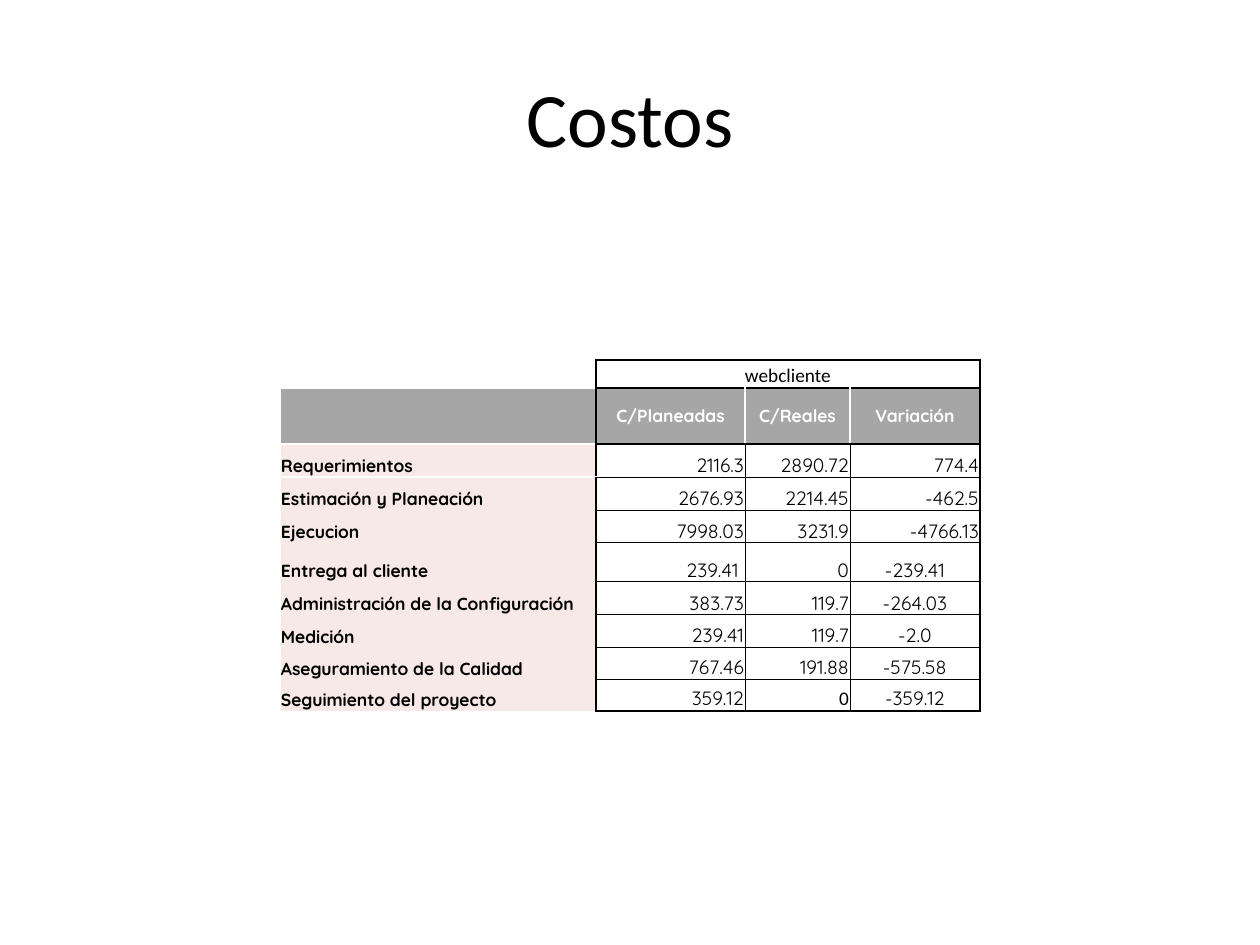
import pptx
import pptx.util
import pptx.dml.color
import pptx.enum.text
import pptx.oxml.ns
import lxml.etree

PIXEL = 914400 // 126
COLORS = {"black": "000000", "white": "FFFFFF", "header": "A6A6A6", "label": "F7E9E7"}
ALIGN = pptx.enum.text.PP_ALIGN
ANCHOR = pptx.enum.text.MSO_ANCHOR
NO_STYLE = "{2D5ABB26-0587-4C30-8999-92F81FD0307C}"


class SlideBuilder:
    def __init__(self, presentation):
        self.slide = presentation.slides.add_slide(presentation.slide_layouts[5])

    def add_text(self, frame, text, font="Quicksand", size=11, bold=False,
                 color="black", align=ALIGN.LEFT):
        paragraph = frame.paragraphs[0]
        paragraph.alignment = align
        if not text:
            paragraph._p.get_or_add_endParaRPr().set("sz", str(size * 100))
            return
        run = paragraph.add_run()
        run.text = text
        values = {"name": font, "size": pptx.util.Pt(size), "bold": bold}
        for name, value in values.items():
            setattr(run.font, name, value)
        run.font.color.rgb = pptx.dml.color.RGBColor.from_string(COLORS[color])

    def title(self, text, left, top, width, height):
        shape = self.slide.shapes.title
        box = {"left": left, "top": top, "width": width, "height": height}
        for name, value in box.items():
            setattr(shape, name, value * PIXEL)
        shape.text_frame.vertical_anchor = ANCHOR.MIDDLE
        self.add_text(shape.text_frame, text, "Calibri", 44, align=ALIGN.CENTER)

    def table(self, left, top, widths, heights):
        shape = self.slide.shapes.add_table(
            len(heights), len(widths), left * PIXEL, top * PIXEL,
            sum(widths) * PIXEL, sum(heights) * PIXEL)
        table = shape.table
        table.first_row = table.horz_banding = False
        table._tbl.tblPr.find(pptx.oxml.ns.qn("a:tableStyleId")).text = NO_STYLE
        for column, width in zip(table.columns, widths):
            column.width = width * PIXEL
        for row, height in zip(table.rows, heights):
            row.height = height * PIXEL
        return table

    def border(self, cell, side, line):
        if line is None:
            return
        color, width = line
        properties = cell._tc.get_or_add_tcPr()
        edge = lxml.etree.SubElement(properties, pptx.oxml.ns.qn("a:ln" + side),
                                     w=str(int(pptx.util.Pt(width))))
        fill = lxml.etree.SubElement(edge, pptx.oxml.ns.qn("a:solidFill"))
        lxml.etree.SubElement(fill, pptx.oxml.ns.qn("a:srgbClr"), val=COLORS[color])

    def cell(self, cell, text, lines, fill=None, anchor=ANCHOR.BOTTOM, **style):
        values = {"margin_left": PIXEL, "margin_right": PIXEL, "margin_top": PIXEL,
                  "margin_bottom": 0, "vertical_anchor": anchor}
        for name, value in values.items():
            setattr(cell, name, value)
        for side, line in lines.items():
            self.border(cell, side, line)
        if fill:
            cell.fill.solid()
            cell.fill.fore_color.rgb = pptx.dml.color.RGBColor.from_string(COLORS[fill])
        else:
            cell.fill.background()
        self.add_text(cell.text_frame, text, **style)


# Table content
COSTS = [
    ("", "webcliente", "", ""),
    ("", "C/Planeadas", "C/Reales", "Variación"),
    ("Requerimientos", "2116.3", "2890.72", "774.4"),
    ("Estimación y Planeación", "2676.93", "2214.45", "-462.5"),
    ("Ejecucion", "7998.03", "3231.9", "-4766.13"),
    ("Entrega al cliente", "239.41 ", "0", "-239.41"),
    ("Administración de la Configuración", "383.73", "119.7", "-264.03"),
    ("Medición", "239.41", "119.7", "-2.0"),
    ("Aseguramiento de la Calidad", "767.46", "191.88", "-575.58"),
    ("Seguimiento del proyecto", "359.12", "0", "-359.12"),
]
WIDTHS = [316, 149, 105, 130]
HEIGHTS = [28, 56, 33, 33, 33, 39, 33, 33, 32, 31]
LAST_ROW = len(COSTS) - 1


def vertical_line(row, edge):
    if edge == 0:
        return ("white", 1) if row else None
    if edge in (1, len(WIDTHS)) or row == 0:
        return ("black", 1)
    return ("white", 1) if row == 1 else ("black", 0.5)


def horizontal_line(edge, column):
    if column == 0:
        return ("white", 1) if edge in (1, 2) else None
    return ("black", 1 if edge in (0, 1, 2, LAST_ROW + 1) else 0.5)


def cell_style(row, column):
    if row == 0:
        return {"font": "Calibri", "align": ALIGN.CENTER}
    if row == 1:
        return {"fill": "header", "anchor": ANCHOR.MIDDLE, "size": 10, "bold": True,
                "color": "white", "align": ALIGN.CENTER}
    if column == 0:
        return {"fill": "label", "size": 10, "bold": True}
    centred = column == 3 and row >= 5
    font = "Calibri" if (row, column) == (LAST_ROW, 2) else "Quicksand"
    return {"font": font, "align": ALIGN.CENTER if centred else ALIGN.RIGHT}


presentation = pptx.Presentation()
presentation.slide_width = pptx.util.Inches(10)
presentation.slide_height = pptx.util.Inches(7.5)
builder = SlideBuilder(presentation)

# Title
builder.title("Costos", 63, 38, 1134, 157)

# Cost table
cost_table = builder.table(280, 360, WIDTHS, HEIGHTS)
cost_table.cell(0, 1).merge(cost_table.cell(0, 3))
for row, texts in enumerate(COSTS):
    for column, text in enumerate(texts):
        lines = {"L": vertical_line(row, column), "R": vertical_line(row, column + 1),
                 "T": horizontal_line(row, column), "B": horizontal_line(row + 1, column)}
        builder.cell(cost_table.cell(row, column), text, lines, **cell_style(row, column))

presentation.save("out.pptx")
